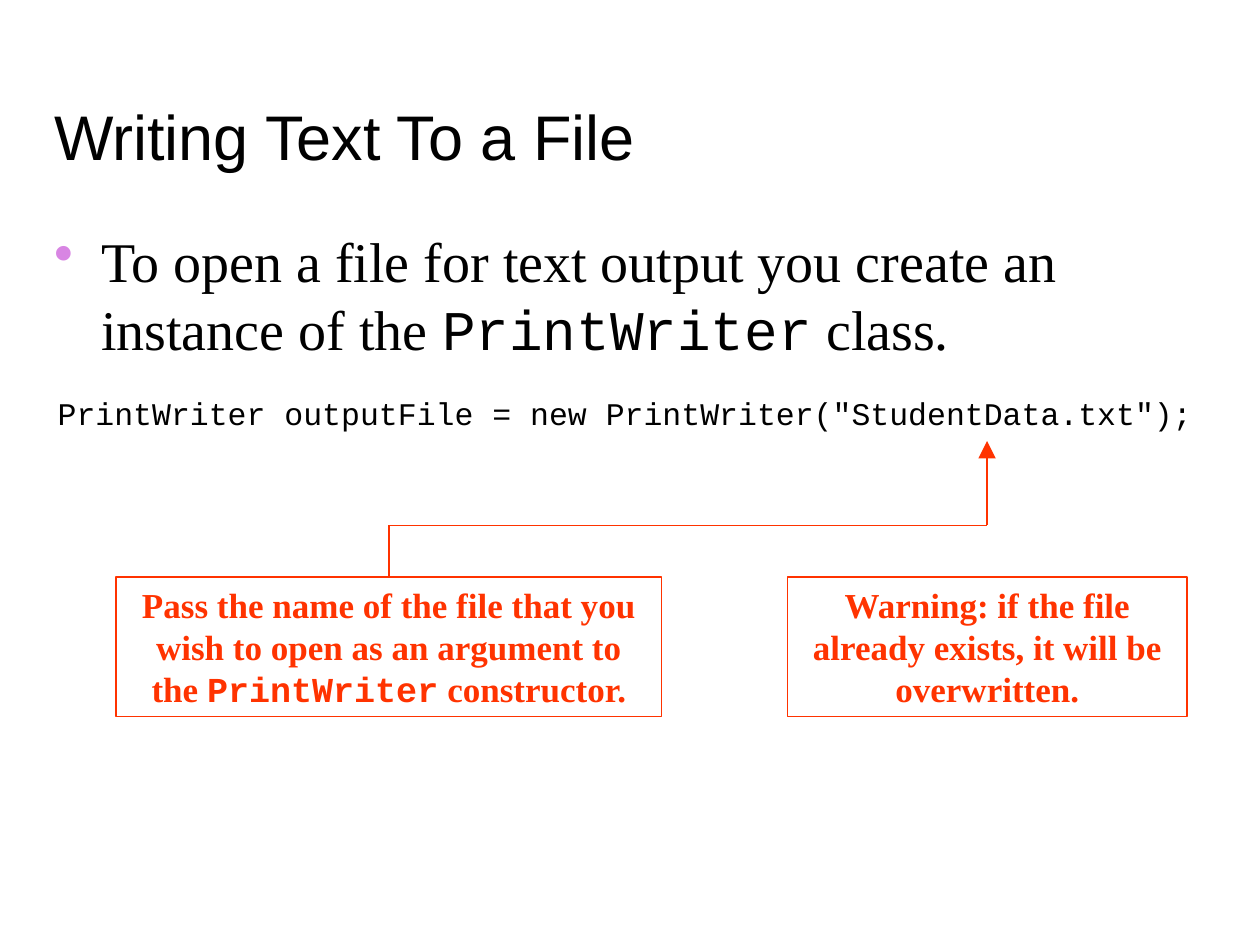
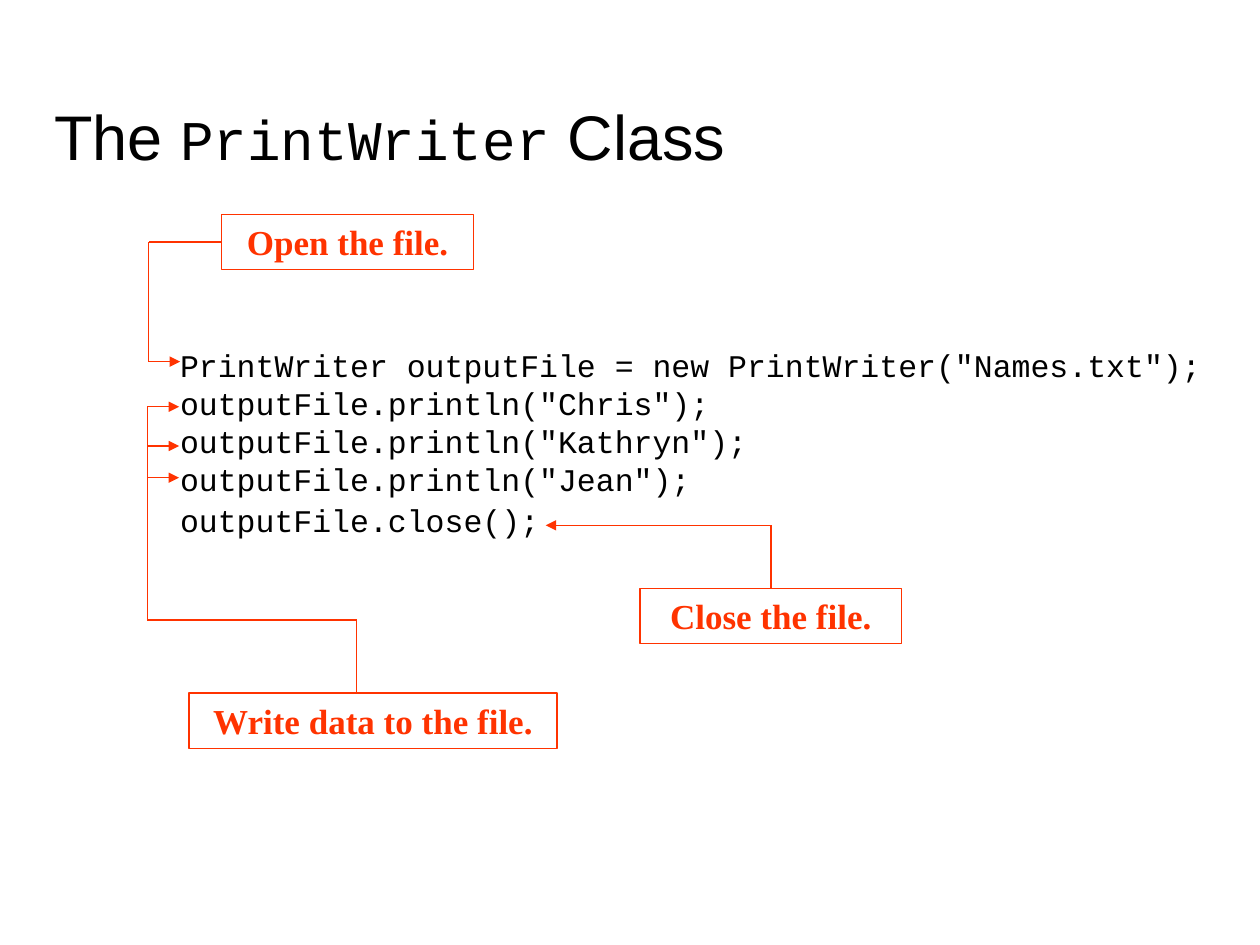
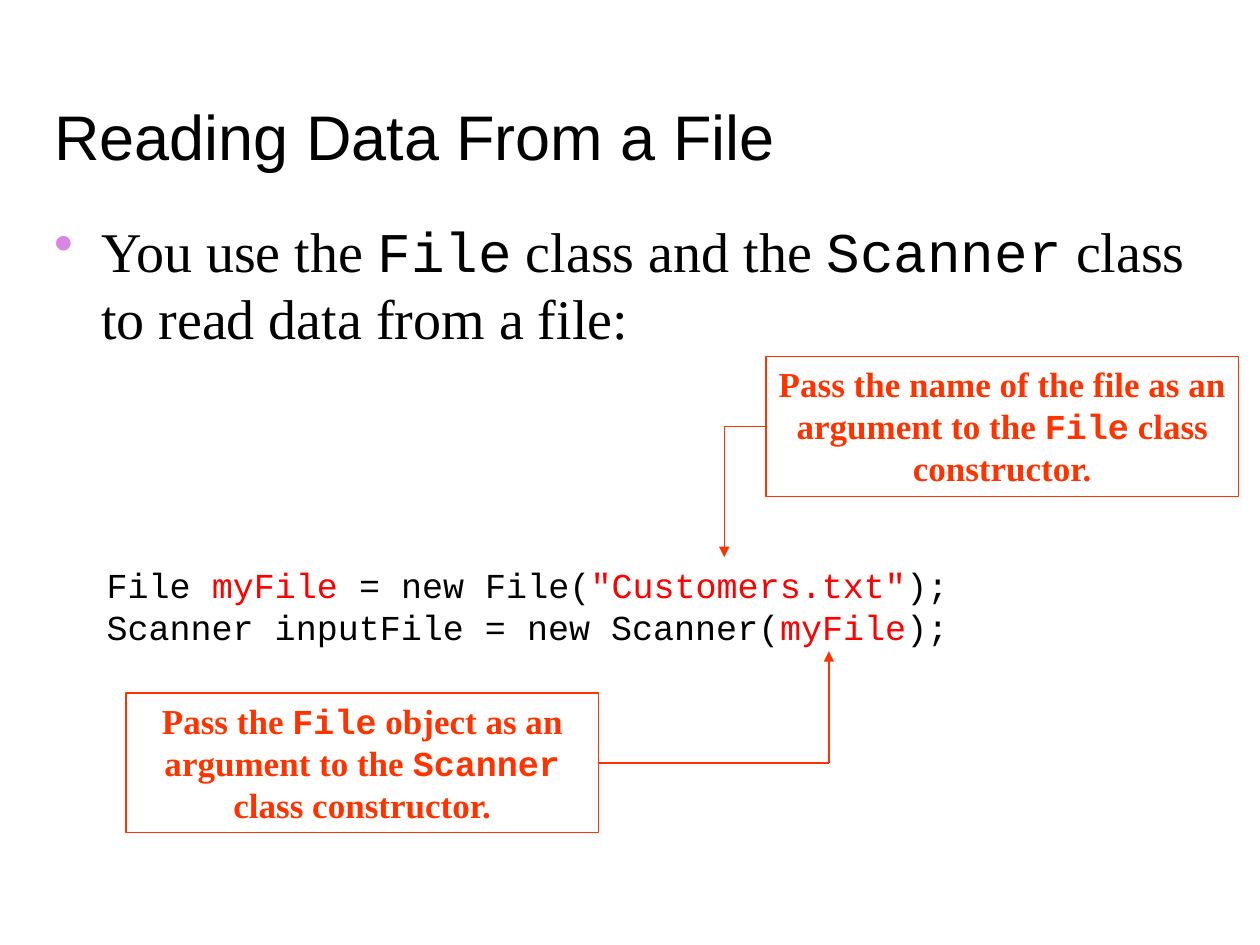
from dataclasses import dataclass

from lxml import etree
from pptx import Presentation
from pptx.dml.color import RGBColor as RGB
from pptx.enum.shapes import MSO_CONNECTOR as CONN, MSO_SHAPE as SHAPE
from pptx.enum.text import MSO_ANCHOR as ANCHOR, PP_ALIGN as ALIGN
from pptx.oxml.ns import qn
from pptx.util import Cm, Pt


@dataclass(frozen=True)
class Theme:
    ink: str = "000000"
    callout: str = "FF3300"
    highlight: str = "FF0000"
    bullet: str = "D885E3"
    heading: str = "Arial"
    serif: str = "Times New Roman"
    mono: str = "Courier New"
    title_size: int = 36
    body_size: int = 32
    note_size: int = 20
    code_size: int = 18
    line_width: float = 0.75


T = Theme()
TOP, LEFT, BOTTOM, RIGHT = range(4)


def write(p, text, mark=None, **fmt):
    for i, part in enumerate(text.split("`")):
        if not part:
            continue
        look = {**fmt, **(mark or {})} if i % 2 else fmt
        r = p.add_run()
        r.text = part
        r.font.name = look["font"]
        r.font.size = Pt(look["size"])
        r.font.bold = look.get("bold", False)
        r.font.color.rgb = RGB.from_string(look.get("color", T.ink))


def add_frame(s, x, y, w, h):
    tf = s.shapes.add_textbox(Cm(x), Cm(y), Cm(w), Cm(h)).text_frame
    tf.word_wrap = True
    return tf


def add_title(s, text):
    tf = add_frame(s, 0.84, 0.84, 23.93, 2.77)
    tf.vertical_anchor = ANCHOR.BOTTOM
    write(tf.paragraphs[0], text, font=T.heading, size=T.title_size,
          mark={"font": T.mono, "size": T.body_size})


def add_bullet(s, text, y, h):
    tf = add_frame(s, 0.84, y, 23.05, h)
    tf.margin_right = 0
    p = tf.paragraphs[0]
    pPr = p._p.get_or_add_pPr()
    pPr.set("marL", str(Cm(0.95)))
    pPr.set("indent", str(Cm(-0.95)))
    color = etree.SubElement(pPr, qn("a:buClr"))
    etree.SubElement(color, qn("a:srgbClr"), val=T.bullet)
    etree.SubElement(pPr, qn("a:buChar"), char="•")
    write(p, text, font=T.serif, size=T.body_size, mark={"font": T.mono})


def add_code(s, lines, x, y, w, h, size=T.code_size, align=ALIGN.LEFT):
    tf = add_frame(s, x, y, w, h)
    for i, line in enumerate(lines):
        p = tf.add_paragraph() if i else tf.paragraphs[0]
        p.alignment = align
        write(p, line, font=T.mono, size=size, mark={"color": T.highlight})
    return tf


def add_callout(s, text, x, y, w, h):
    sp = s.shapes.add_shape(SHAPE.RECTANGLE, Cm(x), Cm(y), Cm(w), Cm(h))
    sp.shadow.inherit = False
    sp.fill.background()
    sp.line.color.rgb = RGB.from_string(T.callout)
    sp.line.width = Pt(T.line_width)
    tf = sp.text_frame
    tf.word_wrap = True
    tf.vertical_anchor = ANCHOR.TOP
    p = tf.paragraphs[0]
    p.alignment = ALIGN.CENTER
    write(p, text, font=T.serif, size=T.note_size, color=T.callout, bold=True,
          mark={"font": T.mono})
    return sp


def add_line(s, start, end, head=None):
    c = s.shapes.add_connector(CONN.STRAIGHT, *start, *end)
    c.line.color.rgb = RGB.from_string(T.callout)
    c.line.width = Pt(T.line_width)
    if head:
        etree.SubElement(c.line._get_or_add_ln(), qn("a:tailEnd"),
                         type="triangle", w=head, len=head)
    etree.SubElement(c._element.spPr, qn("a:effectLst"))
    return c


def add_route(s, start, stops, vertical, head="med"):
    x, y = start
    legs = []
    for i, stop in enumerate(stops):
        end = (x, Cm(stop)) if vertical else (Cm(stop), y)
        last = i == len(stops) - 1
        legs.append(add_line(s, (x, y), end, head if last else None))
        x, y = end
        vertical = not vertical
    return legs


def add_pointer(s, box, side, *stops, head="med"):
    mid_x, mid_y = box.left + box.width // 2, box.top + box.height // 2
    start = {TOP: (mid_x, box.top), LEFT: (box.left, mid_y),
             BOTTOM: (mid_x, box.top + box.height),
             RIGHT: (box.left + box.width, mid_y)}[side]
    legs = add_route(s, start, stops, side in (TOP, BOTTOM), head)
    legs[0].begin_connect(box, side)


def add_slide(prs, title):
    s = prs.slides.add_slide(prs.slide_layouts[6])
    add_title(s, title)
    return s


def writing_slide(prs):
    s = add_slide(prs, "Writing Text To a File")
    add_bullet(s, "To open a file for text output you create an instance of "
                  "the `PrintWriter` class.", 4.45, 12.7)
    add_code(s, ['PrintWriter outputFile = new PrintWriter("StudentData.txt");'],
             0.43, 7.82, 24.33, 1.02, align=ALIGN.CENTER)
    argument = add_callout(
        s, "Pass the name of the file that you wish to open as an argument to "
           "the `PrintWriter` constructor.", 2.34, 11.63, 11, 2.82)
    add_pointer(s, argument, TOP, 10.59, 19.9, 8.89, head="lg")
    add_callout(s, "Warning: if the file already exists, it will be "
                   "overwritten.", 15.88, 11.63, 8.05, 2.82)


def print_writer_slide(prs):
    s = add_slide(prs, "The `PrintWriter` Class")
    names = ["Chris", "Kathryn", "Jean"]
    tf = add_code(s, ['PrintWriter outputFile = new PrintWriter("Names.txt");',
                      *(f'outputFile.println("{name}");' for name in names),
                      "outputFile.close();"], 3.38, 6.86, 21.59, 4.06)
    tf.paragraphs[-1].space_before = Pt(1.7)

    opening = add_callout(s, "Open the file.", 4.47, 4.32, 5.08, 1.12)
    add_pointer(s, opening, LEFT, 3, 7.29, 3.63)

    writing = add_callout(s, "Write data to the file.", 3.81, 13.97, 7.42, 1.12)
    trunk, tip = 2.97, 3.61
    add_route(s, (Cm(7.19), writing.top), [12.5, trunk, 8.2, tip], True)
    for y in (8.99, 9.63):
        add_route(s, (Cm(trunk), Cm(y)), [tip], False)

    closing = add_callout(s, "Close the file.", 12.9, 11.86, 5.28, 1.12)
    add_pointer(s, closing, TOP, 10.59, 11)


def reading_slide(prs):
    s = add_slide(prs, "Reading Data From a File")
    add_bullet(s, "You use the `File` class and the `Scanner` class to read "
                  "data from a file:", 4.24, 4.24)
    add_code(s, ['File `myFile` = new File(`"Customers.txt"`);',
                 "Scanner inputFile = new Scanner(`myFile`);"],
             1.9, 11.23, 18.21, 1.96, size=T.note_size)
    name = add_callout(s, "Pass the name of the file as an argument to the "
                          "`File` class constructor.", 15.44, 7.19, 9.53, 2.82)
    add_pointer(s, name, LEFT, 14.6, 11.23)
    file_object = add_callout(
        s, "Pass the `File` object as an argument to the `Scanner` class "
           "constructor.", 2.54, 13.97, 9.53, 2.82)
    add_pointer(s, file_object, RIGHT, 16.71, 13.13)


def main():
    prs = Presentation()
    prs.slide_width, prs.slide_height = Cm(25.4), Cm(19.05)
    writing_slide(prs)
    print_writer_slide(prs)
    reading_slide(prs)
    prs.save("out.pptx")


if __name__ == "__main__":
    main()
